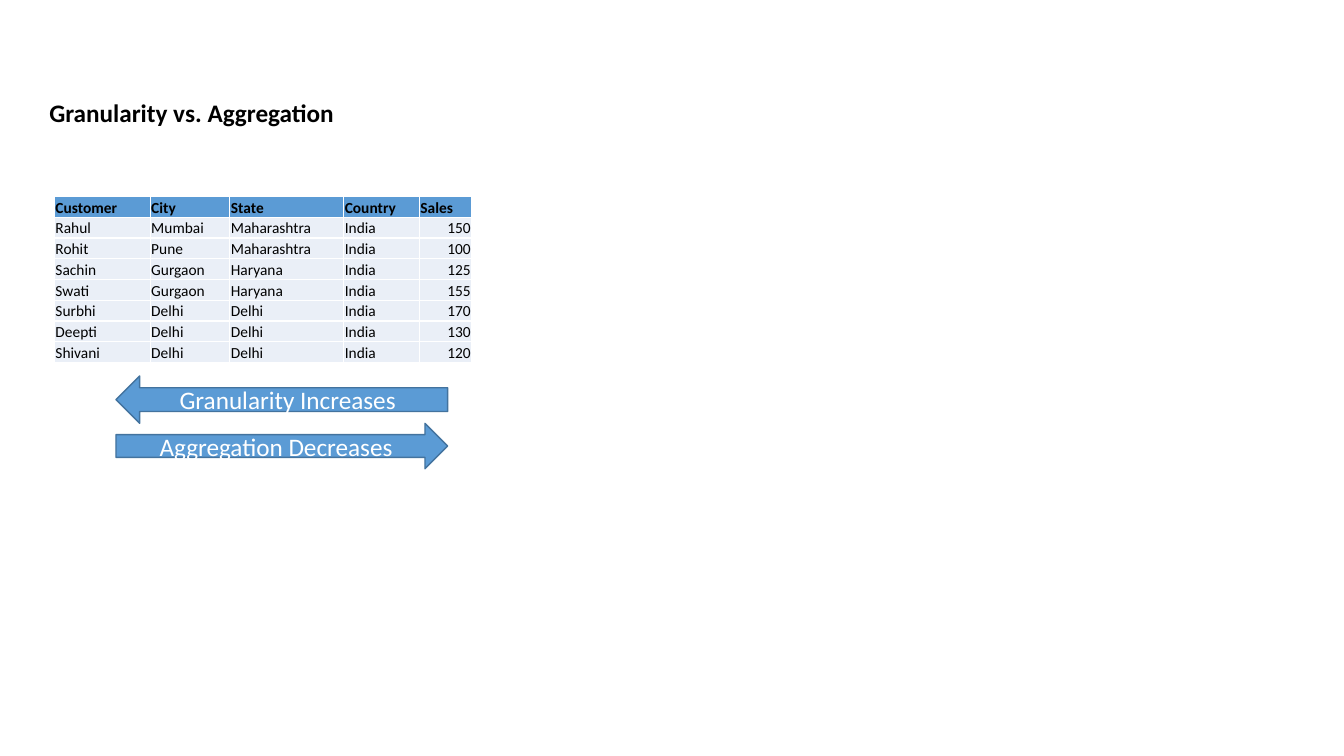
"""Build the slide that contrasts granularity with aggregation."""
from lxml.etree import SubElement
from pptx import Presentation
from pptx.dml.color import RGBColor
from pptx.enum.shapes import MSO_SHAPE as Preset
from pptx.enum.text import MSO_ANCHOR as Anchor, MSO_AUTO_SIZE as AutoSize, PP_ALIGN as Align
from pptx.oxml.ns import qn
from pptx.util import Inches, Pt

TITLE = "Granularity vs. Aggregation"
HEADERS = ("Customer", "City", "State", "Country", "Sales")
SALES = [
    ("Rahul", "Mumbai", "Maharashtra", "India", 150),
    ("Rohit", "Pune", "Maharashtra", "India", 100),
    ("Sachin", "Gurgaon", "Haryana", "India", 125),
    ("Swati", "Gurgaon", "Haryana", "India", 155),
    ("Surbhi", "Delhi", "Delhi", "India", 170),
    ("Deepti", "Delhi", "Delhi", "India", 130),
    ("Shivani", "Delhi", "Delhi", "India", 120),
]
COLUMN_WIDTHS = (0.95, 0.79, 1.13, 0.75, 0.52)
ARROWS = [
    ("Granularity Increases", Preset.LEFT_ARROW, 3.73, 0.47),
    ("Aggregation Decreases", Preset.RIGHT_ARROW, 4.2, 0.45),
]
BLUE, DARK_BLUE, PALE, WHITE, BLACK = "5B9BD5", "43739E", "EAEFF7", "FFFFFF", "000000"
CELL_FORMAT = {
    "vertical_anchor": Anchor.BOTTOM,
    "margin_left": Inches(0.01),
    "margin_right": Inches(0.01),
    "margin_top": Inches(0.01),
    "margin_bottom": 0,
}


def paint(color_format, color):
    color_format.rgb = RGBColor.from_string(color)


def fill_solid(fill, color):
    fill.solid()
    paint(fill.fore_color, color)


def write(text_frame, text, align, color, **font_format):
    paragraph = text_frame.paragraphs[0]
    paragraph.alignment = align
    run = paragraph.add_run()
    run.text = text
    for name, value in {"name": "Calibri", **font_format}.items():
        setattr(run.font, name, value)
    paint(run.font.color, color)


def add_borders(cell, color):
    properties = cell._tc.get_or_add_tcPr()
    for side in ("a:lnL", "a:lnR", "a:lnT", "a:lnB"):
        line = SubElement(properties, qn(side), w=str(Pt(1)))
        solid = SubElement(line, qn("a:solidFill"))
        SubElement(solid, qn("a:srgbClr"), val=color)


def add_sales_table(slide):
    rows = [HEADERS, *SALES]
    table = slide.shapes.add_table(
        len(rows), len(HEADERS), Inches(0.54), Inches(1.95),
        Inches(sum(COLUMN_WIDTHS)), Inches(1.65)).table
    for column, width in zip(table.columns, COLUMN_WIDTHS):
        column.width = Inches(width)
    for row_index, row in enumerate(rows):
        is_header = row_index == 0
        for column_index, value in enumerate(row):
            cell = table.cell(row_index, column_index)
            for name, setting in CELL_FORMAT.items():
                setattr(cell, name, setting)
            add_borders(cell, WHITE)
            fill_solid(cell.fill, BLUE if is_header else PALE)
            align = Align.RIGHT if isinstance(value, int) else Align.LEFT
            write(cell.text_frame, str(value), align, BLACK, size=Pt(11), bold=is_header)


def add_title(slide):
    box = slide.shapes.add_textbox(Inches(0.39), Inches(0.92), Inches(9.31), Inches(0.4))
    box.text_frame.word_wrap = True
    box.text_frame.auto_size = AutoSize.SHAPE_TO_FIT_TEXT
    write(box.text_frame, TITLE, Align.JUSTIFY, BLACK, size=Pt(18), bold=True)


def add_arrow(slide, text, preset, top, height):
    arrow = slide.shapes.add_shape(
        preset, Inches(1.15), Inches(top), Inches(3.29), Inches(height))
    arrow.shadow.inherit = False
    fill_solid(arrow.fill, BLUE)
    paint(arrow.line.color, DARK_BLUE)
    arrow.line.width = Pt(1)
    arrow.text_frame.word_wrap = True
    arrow.text_frame.vertical_anchor = Anchor.MIDDLE
    write(arrow.text_frame, text, Align.CENTER, WHITE, size=Pt(18))


def main():
    presentation = Presentation()
    presentation.slide_width = Inches(13.33)
    presentation.slide_height = Inches(7.5)
    slide = presentation.slides.add_slide(presentation.slide_layouts[6])
    add_sales_table(slide)
    add_title(slide)
    for arrow in ARROWS:
        add_arrow(slide, *arrow)
    presentation.save("out.pptx")


if __name__ == "__main__":
    main()
